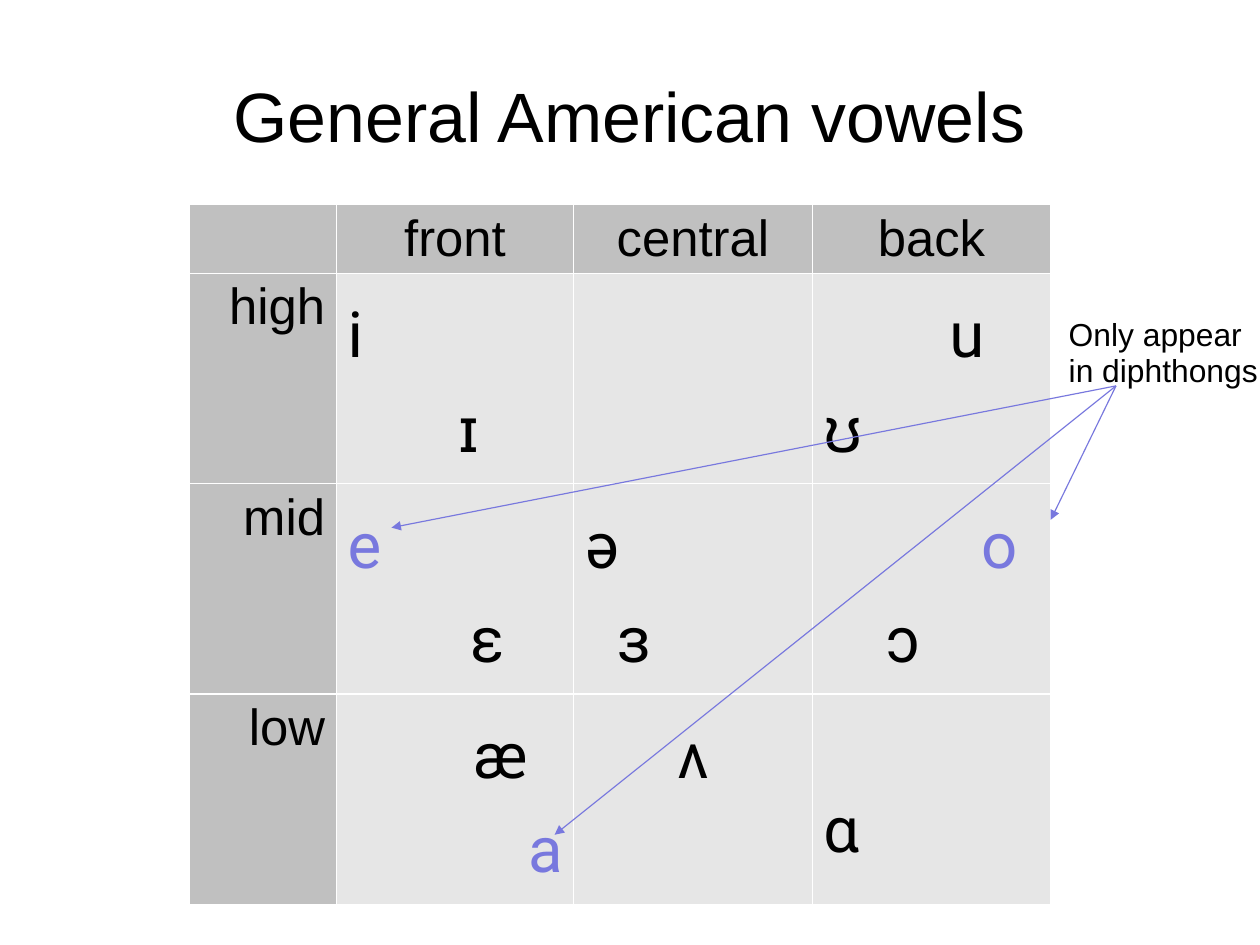
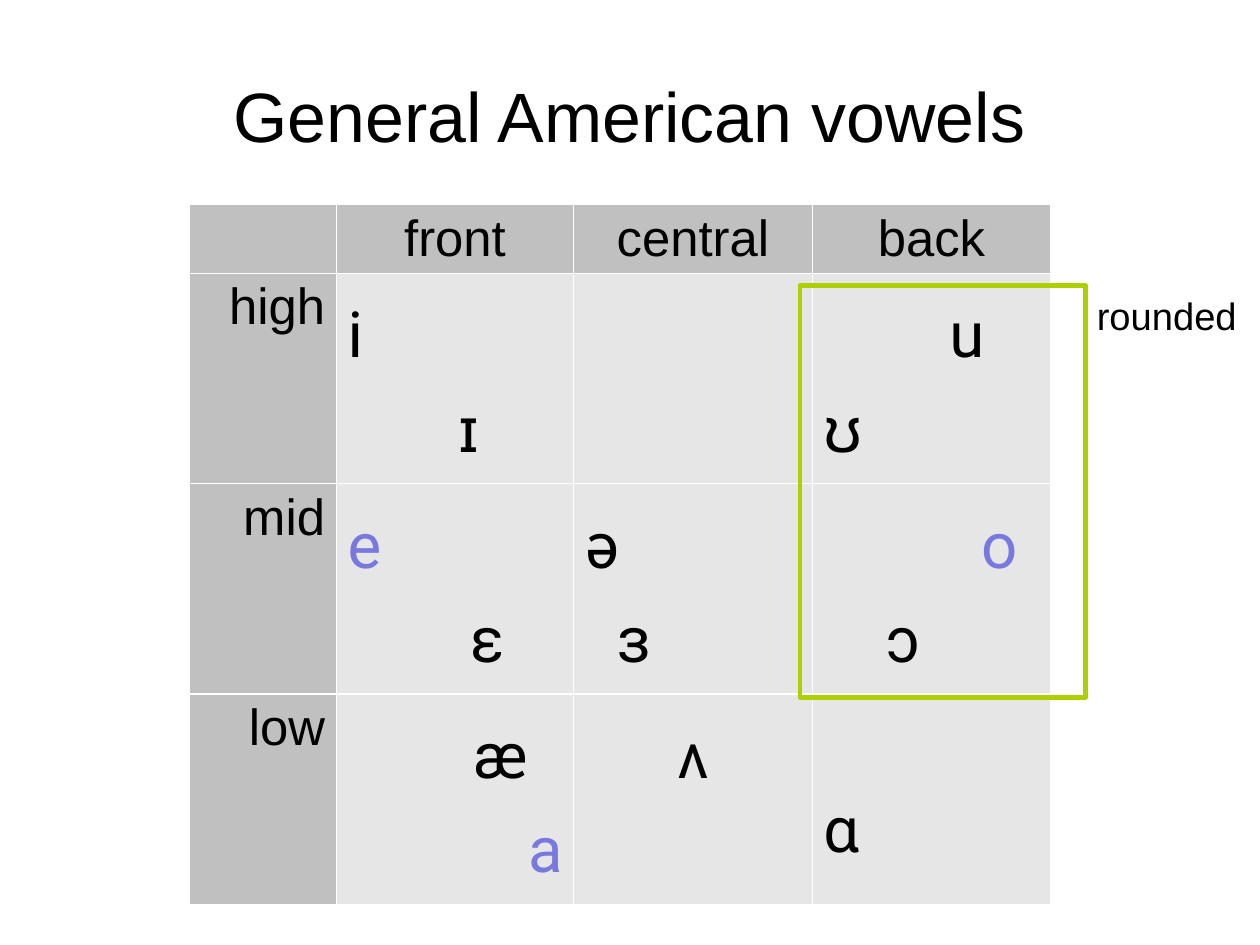
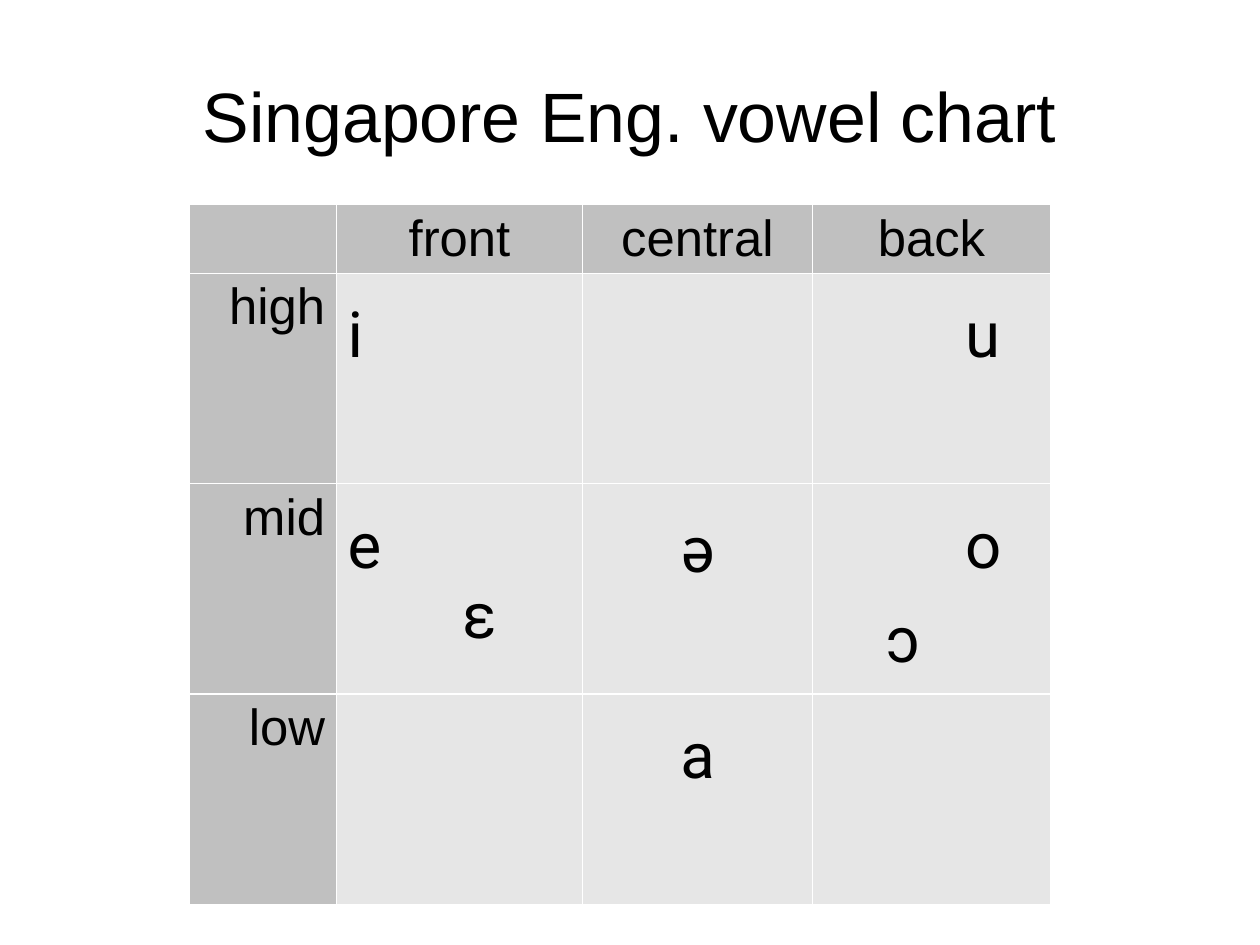
from dataclasses import dataclass

from lxml.etree import SubElement
from pptx import Presentation
from pptx.dml.color import RGBColor
from pptx.enum.shapes import MSO_CONNECTOR, MSO_SHAPE
from pptx.enum.text import MSO_ANCHOR, PP_ALIGN
from pptx.oxml.ns import qn
from pptx.slide import Slide
from pptx.util import Emu, Pt

# Shared measures and styles
EMU_PER_PX = 9000  # 40 px to the centimetre
PAGE_WIDTH, PAGE_HEIGHT = 1120, 840
COLORS = {
    "text": "000000",
    "accent": "7878DE",
    "header": "C0C0C0",
    "cell": "E6E6E6",
    "border": "FFFFFF",
    "frame": "AECF00",
}
TEXT_FONT, VOWEL_FONT = "Arial", "Roboto"
TEXT_SPACING, VOWEL_SPACING = 0.93, 1.27
TABLE_LEFT, TABLE_TOP = 168, 182
HEADER_HEIGHT, ROW_HEIGHT = 61, 187
COLUMN_NAMES = ("front", "central", "back")
ROW_NAMES = ("high", "mid", "low")


@dataclass(frozen=True)
class Vowel:
    symbol: str
    indent: int = 0
    color: str = "text"
    align: PP_ALIGN = PP_ALIGN.LEFT
    spacing: float = VOWEL_SPACING


@dataclass(frozen=True)
class VowelCell:
    vowels: tuple[Vowel, ...] = ()
    top: int = 5


@dataclass(frozen=True)
class Label:
    lines: tuple[str, ...]
    left: int
    top: int
    width: int
    height: int
    size: int


@dataclass(frozen=True)
class VowelChart:
    column_widths: tuple[int, ...]
    rows: tuple[tuple[VowelCell, ...], ...]


def px(length: int) -> Emu:
    return Emu(length * EMU_PER_PX)


def rgb(name: str) -> RGBColor:
    return RGBColor.from_string(COLORS[name])


def format_paragraph(para, size: int, align=PP_ALIGN.LEFT, font: str = TEXT_FONT,
                     color: str = "text", spacing: float = TEXT_SPACING) -> None:
    para.alignment = align
    para.line_spacing = spacing
    para.space_before = para.space_after = Pt(0)
    for span in para.runs:
        span.font.size = Pt(size)
        span.font.name = font
        span.font.bold = False
        span.font.color.rgb = rgb(color)


def set_insets(target, left: int, top: int, right: int, bottom: int) -> None:
    target.margin_left, target.margin_top = px(left), px(top)
    target.margin_right, target.margin_bottom = px(right), px(bottom)


# Page with its title
def add_page(deck, layout, title: str) -> Slide:
    page = deck.slides.add_slide(layout)
    frame = page.shapes.title.text_frame
    frame.text = title
    frame.vertical_anchor = MSO_ANCHOR.MIDDLE
    set_insets(frame, 0, 4, 0, 0)
    format_paragraph(frame.paragraphs[0], 44, PP_ALIGN.CENTER)
    return page


# Vowel table
def style_cell(cell, fill: str, top: int) -> None:
    set_insets(cell, 10, top, 10, 5)
    cell.vertical_anchor = MSO_ANCHOR.TOP
    properties = cell._tc.get_or_add_tcPr()
    for side in ("a:lnL", "a:lnR", "a:lnT", "a:lnB"):
        border = SubElement(properties, qn(side), w=str(Pt(1)))
        paint = SubElement(border, qn("a:solidFill"))
        SubElement(paint, qn("a:srgbClr"), val=COLORS["border"])
    cell.fill.solid()
    cell.fill.fore_color.rgb = rgb(fill)


def fill_header(cell, text: str, align: PP_ALIGN) -> None:
    style_cell(cell, "header", 8)
    cell.text_frame.text = text
    format_paragraph(cell.text_frame.paragraphs[0], 32, align)


def fill_vowels(cell, content: VowelCell) -> None:
    style_cell(cell, "cell", content.top)
    frame = cell.text_frame
    frame.text = "\n".join(vowel.symbol for vowel in content.vowels)
    for para, vowel in zip(frame.paragraphs, content.vowels):
        para._p.get_or_add_pPr().set("marL", str(px(vowel.indent)))
        format_paragraph(para, 40, vowel.align, VOWEL_FONT, vowel.color, vowel.spacing)


def add_vowel_table(page: Slide, chart: VowelChart) -> None:
    heights = (HEADER_HEIGHT,) + (ROW_HEIGHT,) * len(ROW_NAMES)
    table = page.shapes.add_table(
        len(heights), len(chart.column_widths), px(TABLE_LEFT), px(TABLE_TOP),
        px(sum(chart.column_widths)), px(sum(heights))).table
    table.first_row = table.horz_banding = False
    for column, width in zip(table.columns, chart.column_widths):
        column.width = px(width)
    for row, height in zip(table.rows, heights):
        row.height = px(height)
    for index, name in enumerate(("",) + COLUMN_NAMES):
        fill_header(table.cell(0, index), name, PP_ALIGN.CENTER)
    for row_index, (name, cells) in enumerate(zip(ROW_NAMES, chart.rows), start=1):
        fill_header(table.cell(row_index, 0), name, PP_ALIGN.RIGHT)
        for column_index, content in enumerate(cells, start=1):
            fill_vowels(table.cell(row_index, column_index), content)


# Annotations
def add_label(page: Slide, label: Label) -> None:
    box = page.shapes.add_textbox(
        px(label.left), px(label.top), px(label.width), px(label.height))
    frame = box.text_frame
    frame.word_wrap = False
    set_insets(frame, 10, 7, 0, 5)
    frame.text = "\n".join(label.lines)
    for para in frame.paragraphs:
        format_paragraph(para, label.size)


def add_arrow(page: Slide, start: tuple[int, int], end: tuple[int, int]) -> None:
    arrow = page.shapes.add_connector(
        MSO_CONNECTOR.STRAIGHT, px(start[0]), px(start[1]), px(end[0]), px(end[1]))
    arrow.line.color.rgb = rgb("accent")
    arrow.line.width = Pt(0.75)
    SubElement(arrow.line._get_or_add_ln(), qn("a:tailEnd"), type="triangle")
    SubElement(arrow._element.spPr, qn("a:effectLst"))


def add_frame(page: Slide, left: int, top: int, width: int, height: int) -> None:
    box = page.shapes.add_shape(
        MSO_SHAPE.RECTANGLE, px(left), px(top), px(width), px(height))
    box.shadow.inherit = False
    box.fill.background()
    box.line.color.rgb = rgb("frame")
    box.line.width = Pt(2.89)


# Content
EMPTY = VowelCell()
AMERICAN = VowelChart((131, 211, 212, 212), (
    (VowelCell((Vowel("i"), Vowel("ɪ", 98))),
     EMPTY,
     VowelCell((Vowel("u", 112), Vowel("ʊ")))),
    (VowelCell((Vowel("e", color="accent"), Vowel("ɛ", 109))),
     VowelCell((Vowel("ə"), Vowel("ɜ", 28))),
     VowelCell((Vowel("o", 140, "accent"), Vowel("ɔ", 56)))),
    (VowelCell((Vowel("æ", 112), Vowel("a", color="accent", align=PP_ALIGN.RIGHT))),
     VowelCell((Vowel("ʌ", align=PP_ALIGN.CENTER),)),
     VowelCell((Vowel("ɑ"),), top=71)),
))
SINGAPORE = VowelChart((131, 219, 204, 212), (
    (VowelCell((Vowel("i"),)),
     EMPTY,
     VowelCell((Vowel("u", 126),))),
    (VowelCell((Vowel("e"), Vowel("ɛ", 102, spacing=TEXT_SPACING))),
     VowelCell((Vowel("ə", align=PP_ALIGN.CENTER),), top=9),
     VowelCell((Vowel("o", 126), Vowel("ɔ", 56)))),
    (EMPTY,
     VowelCell((Vowel("a", align=PP_ALIGN.CENTER),)),
     EMPTY),
))
DIPHTHONG_LABEL = Label(("Only appear", "in diphthongs"), 940, 276, 180, 71, 20)
ROUNDED_LABEL = Label(("rounded",), 965, 257, 144, 48, 24)
ARROW_START = (992, 343)
ARROW_ENDS = ((934, 462), (493, 742), (348, 469))


def main() -> None:
    deck = Presentation()
    deck.slide_width, deck.slide_height = px(PAGE_WIDTH), px(PAGE_HEIGHT)
    layout = deck.slide_layouts.get_by_name("Title Only")
    title = layout.placeholders[0]
    title.left, title.top, title.width, title.height = px(56), px(34), px(1008), px(140)

    # Vowels found only in diphthongs
    page = add_page(deck, layout, "General American vowels")
    add_vowel_table(page, AMERICAN)
    add_label(page, DIPHTHONG_LABEL)
    for end in ARROW_ENDS:
        add_arrow(page, ARROW_START, end)

    # Rounded vowels
    page = add_page(deck, layout, "General American vowels")
    add_vowel_table(page, AMERICAN)
    add_frame(page, 711, 254, 254, 366)
    add_label(page, ROUNDED_LABEL)

    # Singapore English
    page = add_page(deck, layout, "Singapore Eng. vowel chart")
    add_vowel_table(page, SINGAPORE)

    deck.save("out.pptx")


if __name__ == "__main__":
    main()
